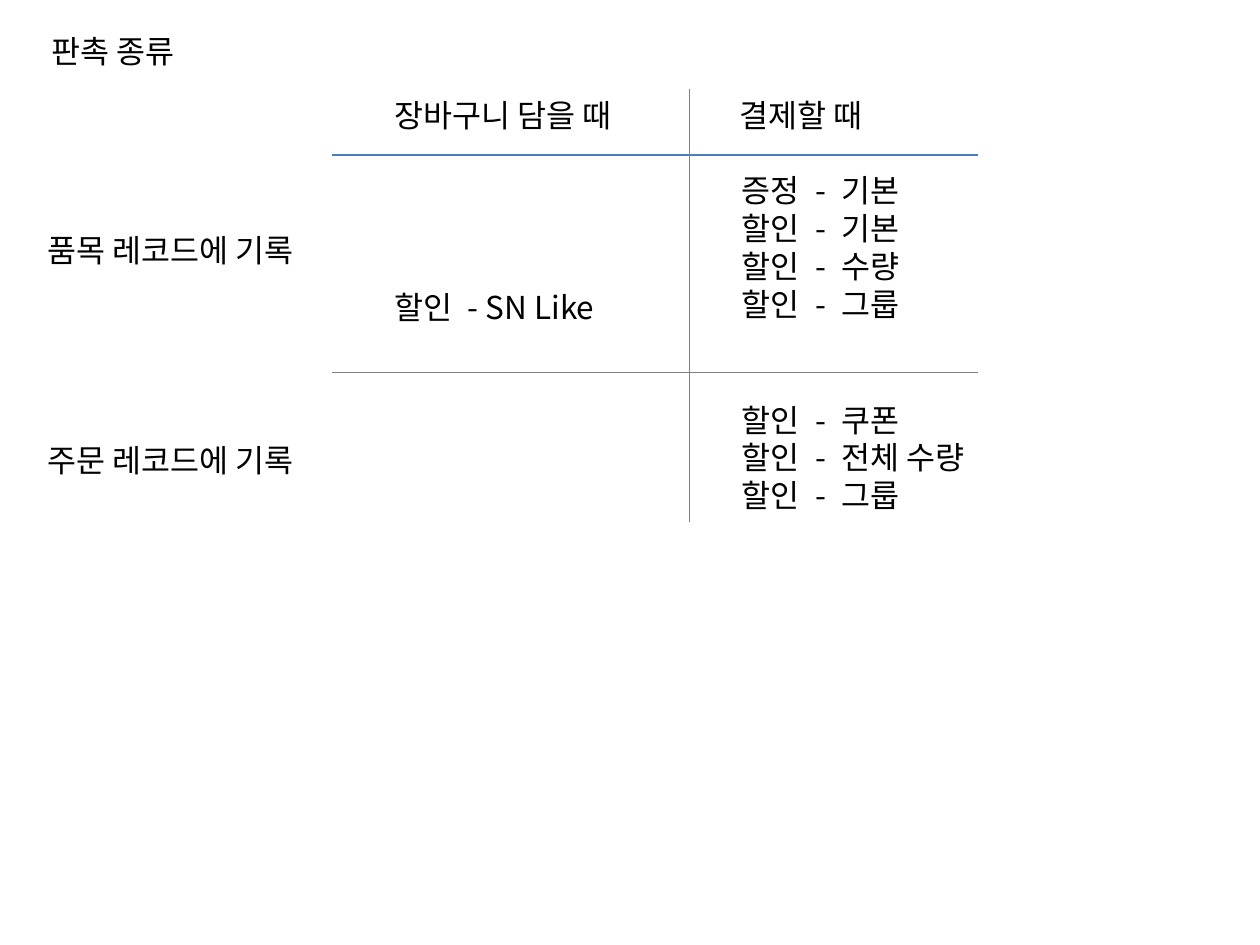
from pptx import Presentation
from pptx.dml.color import RGBColor
from pptx.enum.shapes import MSO_CONNECTOR
from pptx.enum.text import MSO_ANCHOR, MSO_AUTO_SIZE, PP_ALIGN
from pptx.oxml.ns import qn
from pptx.util import Pt
from lxml import etree

STRAIGHT = MSO_CONNECTOR.STRAIGHT
TOP, LEFT = MSO_ANCHOR.TOP, PP_ALIGN.LEFT
FIT = MSO_AUTO_SIZE.SHAPE_TO_FIT_TEXT
FONT = "Noto Sans CJK KR"
BLUE, GREY = ("4B7EBC", 0.75), ("7F7F7F", 0.5)
LINE_HEIGHT = 21.6
TAB_STOPS = (42, 57)
FRAME = dict(word_wrap=True, auto_size=FIT, vertical_anchor=TOP,
             margin_left=Pt(7.2), margin_right=Pt(7.2),
             margin_top=Pt(3.6), margin_bottom=Pt(3.6))
PARAGRAPH = dict(alignment=LEFT, line_spacing=Pt(LINE_HEIGHT),
                 space_before=Pt(0), space_after=Pt(0))


def color(value):
    """Return a colour from a hex string."""
    return RGBColor.from_string(value)


def apply(obj, values):
    """Set every attribute given in a dict."""
    for name, value in values.items():
        setattr(obj, name, value)


def add_tabs(p):
    """Give a paragraph the tab stops of the promotion lists."""
    tabs = etree.SubElement(p._p.get_or_add_pPr(), qn("a:tabLst"))
    for stop in TAB_STOPS:
        etree.SubElement(tabs, qn("a:tab"), pos=str(int(Pt(stop))), algn="l")


def write(sp, lines):
    """Write formatted lines into a shape."""
    tf = sp.text_frame
    apply(tf, FRAME)
    for i, line in enumerate(lines):
        p = tf.add_paragraph() if i else tf.paragraphs[0]
        apply(p, PARAGRAPH)
        if "\t" in line:
            add_tabs(p)
        r = p.add_run()
        r.text = line
        apply(r.font, dict(name=FONT, size=Pt(18)))
        r.font.color.rgb = color("000000")
        etree.SubElement(r._r.get_or_add_rPr(), qn("a:ea"), typeface=FONT)


def add_text(slide, x, y, w, *lines):
    """Add a text box whose height follows its lines."""
    h = LINE_HEIGHT * len(lines) + 7.2
    write(slide.shapes.add_textbox(Pt(x), Pt(y), Pt(w), Pt(h)), lines)


def add_rule(slide, x1, y1, x2, y2, style):
    """Add a straight rule with a colour and width."""
    line = slide.shapes.add_connector(STRAIGHT, Pt(x1), Pt(y1), Pt(x2), Pt(y2))
    value, width = style
    line.line.color.rgb = color(value)
    line.line.width = Pt(width)
    etree.SubElement(line._element.spPr, qn("a:effectLst"))


def add_title(slide, x, y, w, h, text):
    """Place and format the slide title."""
    sp = slide.shapes.title
    apply(sp, dict(left=Pt(x), top=Pt(y), width=Pt(w), height=Pt(h)))
    write(sp, [text])


def add_row_labels(slide, x, y):
    """Add the labels of the two record rows."""
    for dy, text in ((0, "품목 레코드에 기록"), (120.2, "주문 레코드에 기록")):
        add_text(slide, x, y + dy, 187.2, text)


def add_matrix(slide, x, y, w, h):
    """Add the promotion grid with its headings and lists."""
    add_text(slide, x + 28.2, y, 187.2, "장바구니 담을 때")
    add_text(slide, x + 225.4, y, 187.2, "결제할 때")
    add_text(slide, x + 28.2, y + 110.2, 170, "할인\t- SN Like")
    add_text(slide, x + 226.8, y + 43.2, 108,
             "증정\t-\t기본", "할인\t-\t기본", "할인\t-\t수량", "할인\t-\t그룹")
    add_text(slide, x + 226.8, y + 174.3, 158.4,
             "할인\t-\t쿠폰", "할인\t-\t전체 수량", "할인\t-\t그룹")
    for dy, style in ((37.4, BLUE), (162, GREY)):
        add_rule(slide, x, y + dy, x + w, y + dy, style)
    add_rule(slide, x + 203.8, y, x + 203.8, y + h, GREY)


def main():
    """Build and save the slide."""
    prs = Presentation()
    prs.slide_width, prs.slide_height = Pt(720), Pt(540)
    slide = prs.slides.add_slide(prs.slide_layouts[5])
    add_title(slide, 22.3, 14.4, 99.4, 28.8, "판촉 종류")
    add_row_labels(slide, 20.2, 128.2)
    add_matrix(slide, 190, 51.1, 368.6, 247)
    prs.save("out.pptx")


main()
